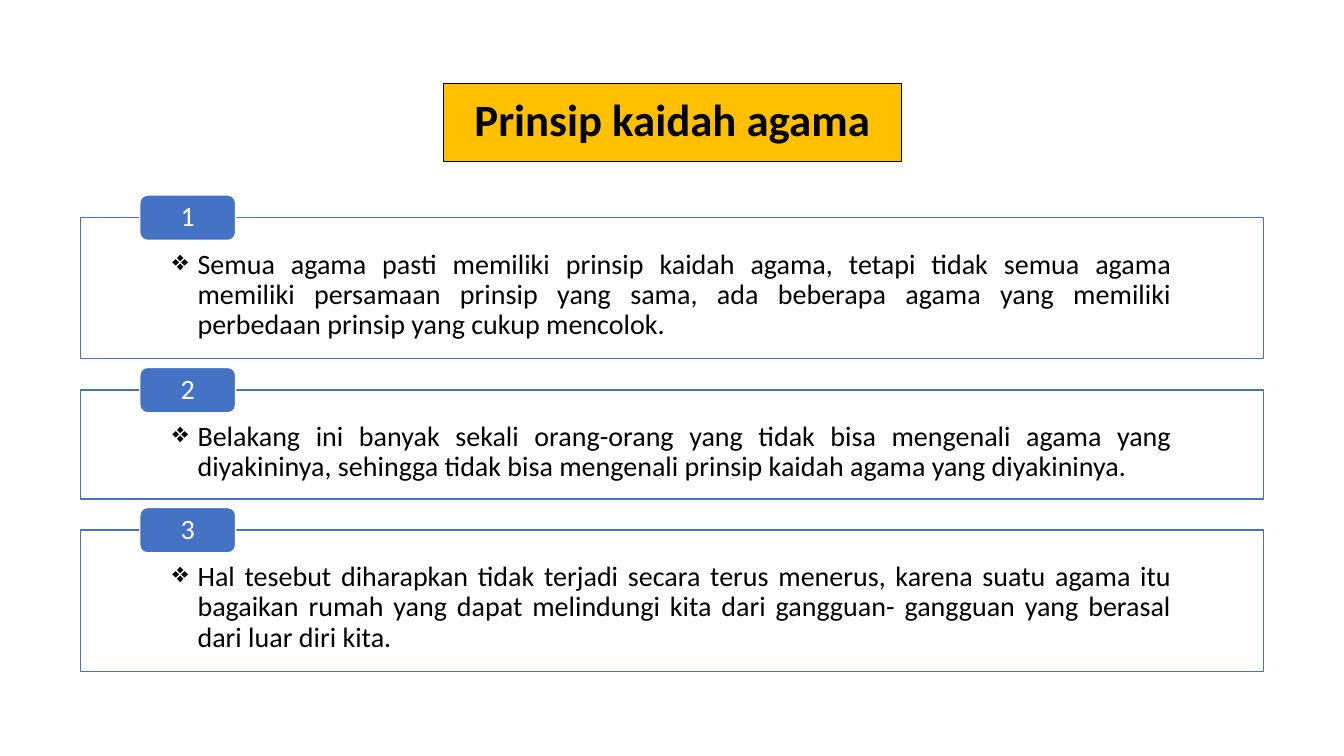
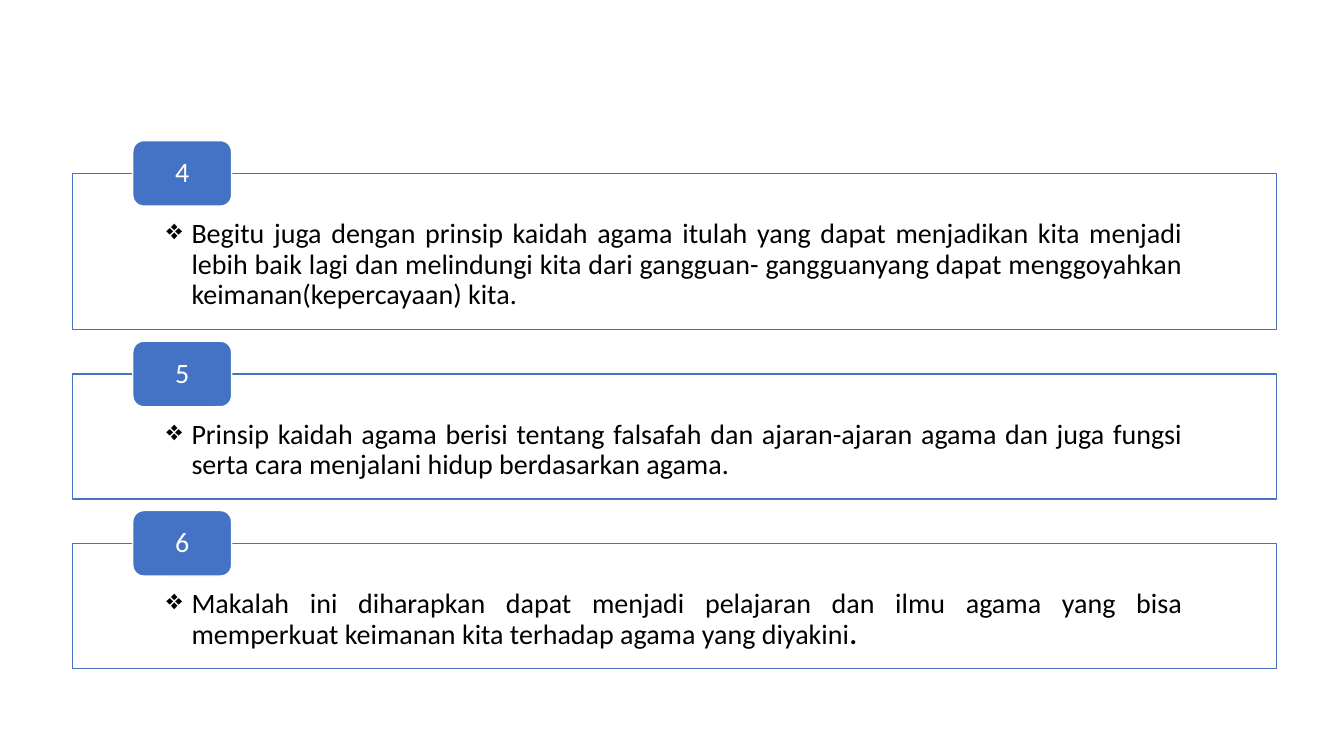
from lxml.etree import SubElement
from pptx import Presentation
from pptx.dml.color import RGBColor
from pptx.enum.shapes import MSO_SHAPE
from pptx.enum.text import MSO_ANCHOR, MSO_AUTO_SIZE, PP_ALIGN
from pptx.oxml.ns import qn
from pptx.util import Inches, Pt

BLUE = RGBColor(0x44, 0x72, 0xC4)
GOLD = RGBColor(0xFF, 0xC0, 0x00)
BLACK = RGBColor(0x00, 0x00, 0x00)
WHITE = RGBColor(0xFF, 0xFF, 0xFF)
FONT = "Calibri"


def style_shape(sp, fill, line, insets, anchor):
    sp.fill.solid()
    sp.fill.fore_color.rgb = fill
    sp.line.color.rgb = line
    sp.line.width = Pt(1)
    sp.shadow.inherit = False
    tf = sp.text_frame
    tf.word_wrap = True
    tf.auto_size = MSO_AUTO_SIZE.NONE
    tf.vertical_anchor = anchor
    side, top, bottom = insets
    tf.margin_left = tf.margin_right = Inches(side)
    tf.margin_top, tf.margin_bottom = Inches(top), Inches(bottom)


def format_text(p, align, size, color):
    p.alignment = align
    p.line_spacing = 0.9
    for r in p.runs:
        r.font.name = FONT
        r.font.size = Pt(size)
        r.font.color.rgb = color


slides = [
    {
        "title": "Prinsip kaidah agama",
        "left": 0.8, "top": 2.16, "width": 11.73, "gap": 0.31,
        "tab": (0.95, 0.45), "insets": (0.91, 0.32, 0.16), "tab_inset": 0.31,
        "items": [
            (1.4, ["Semua agama pasti memiliki prinsip kaidah agama, tetapi tidak semua agama "
                   "memiliki persamaan prinsip yang sama, ada beberapa agama yang memiliki "
                   "perbedaan prinsip yang cukup mencolok."]),
            (1.08, ["Belakang ini banyak sekali orang-orang yang tidak bisa mengenali agama yang "
                    "diyakininya, sehingga tidak bisa mengenali prinsip kaidah agama yang "
                    "diyakininya."]),
            (1.4, ["Hal tesebut diharapkan tidak terjadi secara terus menerus, karena suatu agama "
                   "itu bagaikan rumah yang dapat melindungi kita dari gangguan- gangguan yang "
                   "berasal dari luar diri kita."]),
        ],
    },
    {
        "title": None,
        "left": 0.72, "top": 1.72, "width": 11.94, "gap": 0.44,
        "tab": (0.98, 0.65), "insets": (0.93, 0.46, 0.16), "tab_inset": 0.32,
        "items": [
            (1.55, ["Begitu juga dengan prinsip kaidah agama itulah yang dapat menjadikan kita "
                    "menjadi lebih baik lagi dan melindungi kita dari gangguan- gangguanyang "
                    "dapat menggoyahkan keimanan(kepercayaan) kita."]),
            (1.24, ["Prinsip kaidah agama berisi tentang falsafah dan ajaran-ajaran agama dan "
                    "juga fungsi serta cara menjalani hidup berdasarkan agama."]),
            (1.24, ["Makalah ini diharapkan dapat menjadi pelajaran dan ilmu agama yang bisa "
                    "memperkuat keimanan kita terhadap agama yang diyakini", "."]),
        ],
    },
]

prs = Presentation()
prs.slide_width = Inches(13.33)
prs.slide_height = Inches(7.5)
title_layout, blank_layout = prs.slide_layouts[5], prs.slide_layouts[6]
number = 0

for data in slides:
    s = prs.slides.add_slide(title_layout if data["title"] else blank_layout)
    if data["title"]:
        title = s.shapes.title
        title.left, title.top = Inches(4.4), Inches(0.83)
        title.width, title.height = Inches(4.54), Inches(0.77)
        style_shape(title, GOLD, BLACK, (0.1, 0.05, 0.05), MSO_ANCHOR.MIDDLE)
        title.text_frame.text = data["title"]
        p = title.text_frame.paragraphs[0]
        format_text(p, PP_ALIGN.CENTER, 32, BLACK)
        p.runs[0].font.bold = True

    left, top, width = data["left"], data["top"], data["width"]
    tab_width, tab_height = data["tab"]
    for height, parts in data["items"]:
        number += 1
        box = s.shapes.add_shape(MSO_SHAPE.RECTANGLE, Inches(left), Inches(top),
                                 Inches(width), Inches(height))
        style_shape(box, WHITE, BLUE, data["insets"], MSO_ANCHOR.TOP)
        color = box._element.spPr.find(qn("a:solidFill"))[0]
        SubElement(color, qn("a:alpha")).set("val", "90000")
        p = box.text_frame.paragraphs[0]
        p.level = 1
        for part in parts:
            r = p.add_run()
            r.text = part
            r.font.bold = part == "."
        format_text(p, PP_ALIGN.JUSTIFY, 20, BLACK)
        pPr = p._p.get_or_add_pPr()
        pPr.set("marL", str(Inches(0.25)))
        pPr.set("indent", str(Inches(-0.25)))
        SubElement(pPr, qn("a:buChar")).set("char", "❖")

        tab = s.shapes.add_shape(MSO_SHAPE.ROUNDED_RECTANGLE,
                                 Inches(left + width * 0.05), Inches(top - tab_height / 2),
                                 Inches(tab_width), Inches(tab_height))
        style_shape(tab, BLUE, WHITE, (data["tab_inset"], 0, 0), MSO_ANCHOR.MIDDLE)
        tab.text_frame.text = str(number)
        format_text(tab.text_frame.paragraphs[0], PP_ALIGN.CENTER, 20, WHITE)
        top += height + data["gap"]

prs.save("out.pptx")
